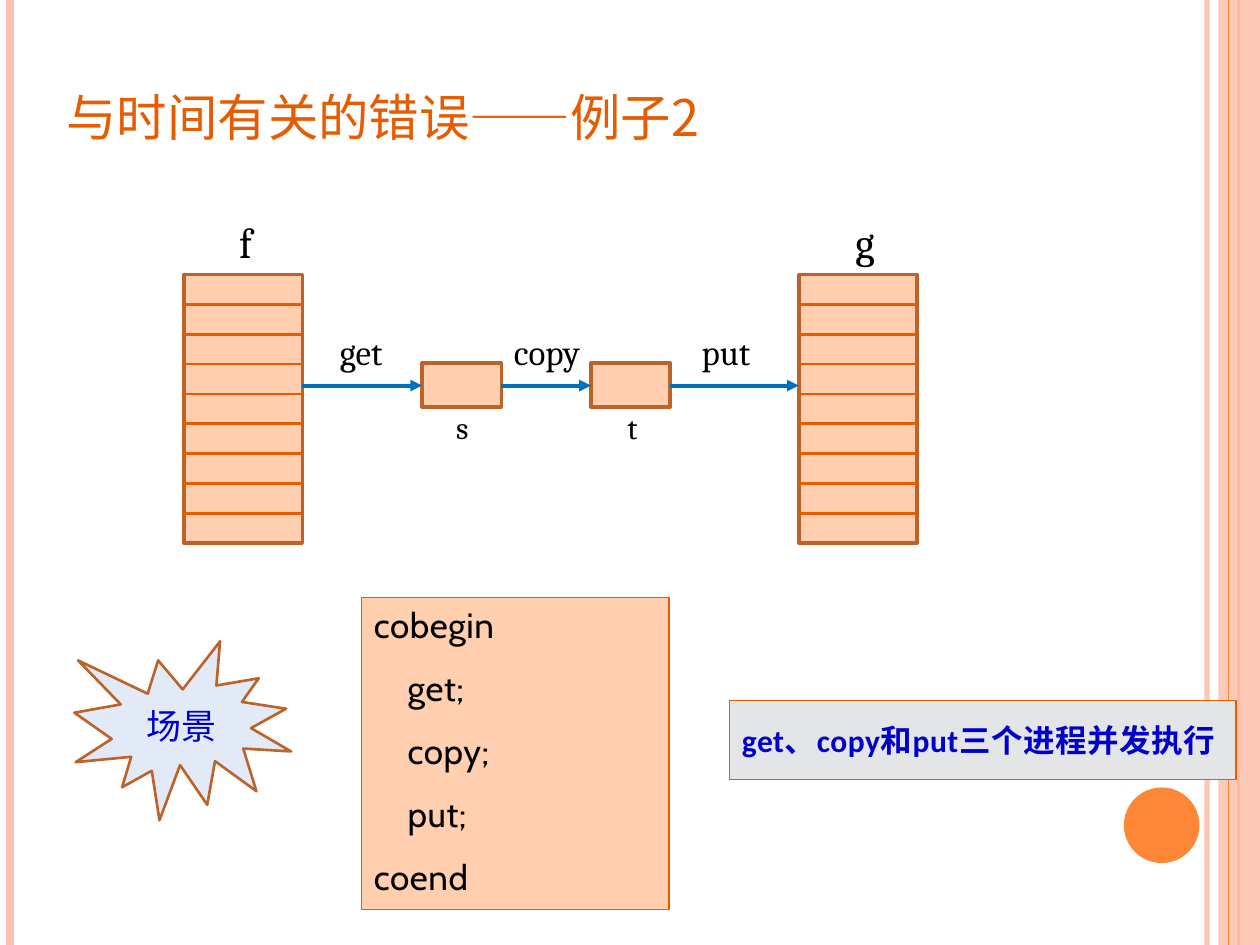
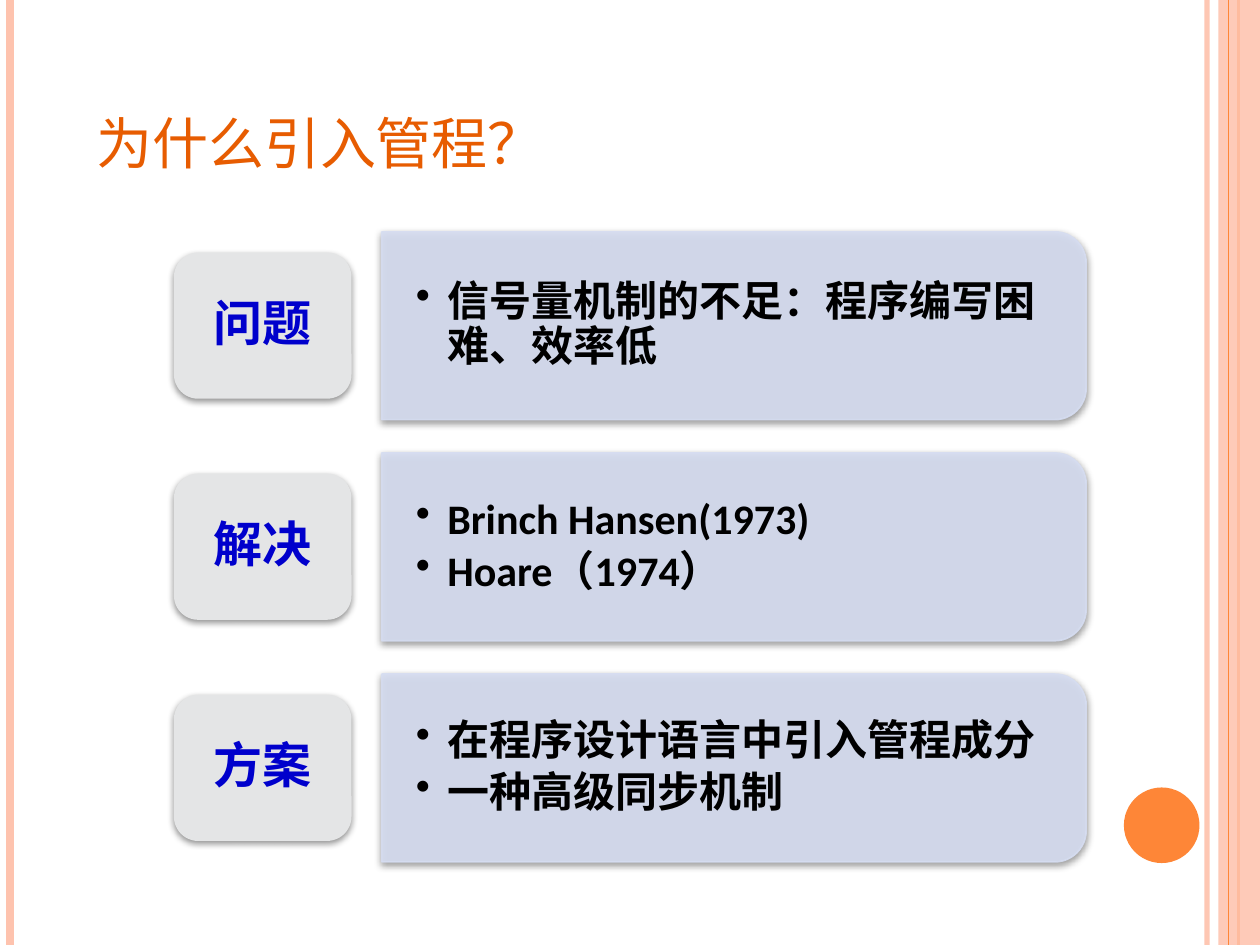
from lxml import etree
from pptx import Presentation
from pptx.dml.color import RGBColor
from pptx.enum.shapes import MSO_CONNECTOR, MSO_SHAPE
from pptx.enum.text import MSO_ANCHOR, PP_ALIGN
from pptx.oxml.ns import qn
from pptx.util import Inches, Pt

LINE = MSO_CONNECTOR.STRAIGHT
RECT, OVAL = MSO_SHAPE.RECTANGLE, MSO_SHAPE.OVAL
ROUNDED, TWO_ROUNDED = MSO_SHAPE.ROUNDED_RECTANGLE, MSO_SHAPE.ROUND_2_SAME_RECTANGLE
BURST = MSO_SHAPE.EXPLOSION1
LEFT, CENTER = PP_ALIGN.LEFT, PP_ALIGN.CENTER
TOP, MIDDLE, BOTTOM = MSO_ANCHOR.TOP, MSO_ANCHOR.MIDDLE, MSO_ANCHOR.BOTTOM

BLACK = RGBColor(0x00, 0x00, 0x00)
ORANGE = RGBColor(0xFE, 0x86, 0x37)
DARK_ORANGE = RGBColor(0xE7, 0x5C, 0x01)
BROWN = RGBColor(0xBC, 0x63, 0x29)
PINK = RGBColor(0xFE, 0xC3, 0xAE)
PEACH = RGBColor(0xFF, 0xCF, 0xAF)
GREY = RGBColor(0xE4, 0xE5, 0xE6)
PALE_BLUE = RGBColor(0xE3, 0xEA, 0xF7)
LAVENDER = RGBColor(0xD6, 0xDD, 0xF1)
ARROW_BLUE = RGBColor(0x00, 0x70, 0xC0)
TEXT_BLUE = RGBColor(0x00, 0x00, 0xCC)

CJK, CODE, SERIF, SANS = "Noto Sans CJK SC", "Cabin", "Cambria", "Calibri"
WIDTH, HEIGHT = Inches(10), Inches(7.5)
COLUMNS, ROWS = 100, 75


def grid(*lengths):
    return [round(n * (HEIGHT / ROWS if i % 2 else WIDTH / COLUMNS))
            for i, n in enumerate(lengths)]


def add_xml(parent, tag, **attributes):
    return etree.SubElement(parent, qn(tag), attributes)


def set_alpha(sp_pr, percent):
    for color in sp_pr.iter(qn("a:srgbClr")):
        add_xml(color, "a:alpha", val=str(percent * 1000))


def set_bullet(p, indent):
    p_pr = p._p.get_or_add_pPr()
    p_pr.set("marL", str(indent))
    p_pr.set("indent", str(-indent))
    add_xml(p_pr, "a:buChar", char="•")


def write(sp, lines, size, font, color=BLACK, bold=False, align=LEFT, anchor=TOP,
          before=0, after=0, leading=None, spacing=0, small_caps=False,
          bullet=None, wrap=True, insets=(1, 0.5)):
    tf = sp.text_frame
    tf.word_wrap = wrap
    tf.vertical_anchor = anchor
    tf.margin_left, tf.margin_top = tf.margin_right, tf.margin_bottom = grid(*insets)
    for i, line in enumerate(lines):
        p = tf.add_paragraph() if i else tf.paragraphs[0]
        p.alignment = align
        if leading:
            p.line_spacing = leading
        if i and before:
            p.space_before = Pt(before)
        if after:
            p.space_after = Pt(after)
        if bullet:
            set_bullet(p, bullet)
        r = p.add_run()
        r.text = line
        r.font.size, r.font.bold, r.font.name = Pt(size), bold, font
        r.font.color.rgb = color
        r_pr = r._r.get_or_add_rPr()
        add_xml(r_pr, "a:ea", typeface=CJK)
        if spacing:
            r_pr.set("spc", str(round(spacing * 100)))
        if small_caps:
            r_pr.set("cap", "small")


def add_text(slide, box, lines, **style):
    sp = slide.shapes.add_textbox(*grid(*box))
    write(sp, lines, **style)


def add_shape(slide, kind, box, fill, line=None, width=1, alpha=None, shadow=False):
    sp = slide.shapes.add_shape(kind, *grid(*box))
    sp.shadow.inherit = False
    sp.fill.solid()
    sp.fill.fore_color.rgb = fill
    if line:
        sp.line.color.rgb = line
        sp.line.width = Pt(width)
    else:
        sp.line.fill.background()
    sp_pr = sp._element.spPr
    if alpha:
        set_alpha(sp_pr, alpha)
    if shadow:
        outer = add_xml(sp_pr.find(qn("a:effectLst")), "a:outerShdw", blurRad=str(Pt(4)),
                        dist=str(Pt(1.6)), dir="5400000", rotWithShape="0")
        add_xml(add_xml(outer, "a:srgbClr", val="000000"), "a:alpha", val="42000")
    return sp


def add_line(slide, ends, color, width, alpha=None, arrow=False):
    line = slide.shapes.add_connector(LINE, *grid(*ends))
    line.line.color.rgb = color
    line.line.width = Pt(width)
    sp_pr = line._element.spPr
    if alpha:
        set_alpha(sp_pr, alpha)
    if arrow:
        add_xml(sp_pr.find(qn("a:ln")), "a:tailEnd", type="triangle")
    add_xml(sp_pr, "a:effectLst")


def add_themed_slide(prs, title, title_box, title_size):
    slide = prs.slides.add_slide(prs.slide_layouts[6])
    for x, color, width, alpha in ((95.8, PINK, 3, 93), (0.8, PINK, 4.5, None),
                                   (98.3, ORANGE, 1.5, None)):
        add_line(slide, (x, 0, x, ROWS), color, width, alpha)
    add_shape(slide, RECT, (96.7, 0, 3.3, ROWS), PINK, alpha=87)
    add_line(slide, (97.5, 0, 97.5, ROWS), ORANGE, 0.75)
    add_shape(slide, OVAL, (89.2, 62.5, 6, 6), ORANGE)
    add_text(slide, title_box, [title], size=title_size, font=CJK, color=DARK_ORANGE,
             anchor=BOTTOM, small_caps=True)
    return slide


def add_record_file(slide, left, top, width, height, records=9):
    add_shape(slide, RECT, (left, top, width, height), PEACH, BROWN, 2)
    for i in range(1, records):
        y = top + i * height / records
        add_line(slide, (left, y, left + width, y), DARK_ORANGE, 1.5)


def add_section(slide, center, label, points, font):
    long, thick = 55.9, 14.9
    panel = add_shape(slide, TWO_ROUNDED,
                      (58.25 - thick / 2, center - long / 2, thick, long),
                      LAVENDER, LAVENDER, 1, alpha=90, shadow=True)
    panel.rotation = 90
    add_text(slide, (30.3, center - 6.7, 55.2, 13.4), points, size=24, font=font,
             bold=True, anchor=MIDDLE, leading=0.9, after=3.6,
             bullet=Inches(0.25), insets=(2.7, 1.4))
    tile = add_shape(slide, ROUNDED, (13.8, center - 5.8, 14.1, 11.6), GREY, shadow=True)
    write(tile, [label], size=28, font=CJK, color=TEXT_BLUE, bold=True,
          align=CENTER, anchor=MIDDLE, leading=0.9)


def build_copy_example(prs):
    slide = add_themed_slide(prs, "与时间有关的错误——例子2", (4.3, 3, 82, 9.3), 36)
    program = add_shape(slide, RECT, (28.7, 47.4, 24.4, 24.8), PEACH, DARK_ORANGE, 0.75)
    write(program, ["cobegin", "    get;", "    copy;", "    put;", "coend"],
          size=20, font=CODE, before=12, spacing=0.3)

    file_width, buffer_width = 9.4, 6.3
    f, s, t, g = 14.6, 33.5, 46.9, 63.4
    for left in (f, g):
        add_record_file(slide, left, 21.8, file_width, 21.3)
    for left in (s, t):
        add_shape(slide, RECT, (left, 28.8, buffer_width, 3.5), PEACH, BROWN, 2)
    for start, end in ((f + file_width, s), (s + buffer_width, t), (t + buffer_width, g)):
        add_line(slide, (start, 30.6, end, 30.6), ARROW_BLUE, 2.25, arrow=True)

    for text, box, size, align in (
            ("get", (26, 25.7, 5.7, 4.4), 20, LEFT),
            ("copy", (39.8, 25.7, 7.4, 4.4), 20, LEFT),
            ("put", (54.7, 25.7, 5.9, 4.4), 20, LEFT),
            ("f", (18, 16.7, 3, 5), 24, LEFT),
            ("g", (66.9, 16.7, 3.7, 5), 24, LEFT),
            ("s", (35.1, 31.9, 3.2, 4), 18, CENTER),
            ("t", (48.8, 31.9, 2.8, 4), 18, CENTER)):
        add_text(slide, box, [text], size=size, font=SERIF, align=align, wrap=False)

    remark = add_shape(slide, RECT, (57.9, 55.6, 40.2, 6.3), GREY, DARK_ORANGE, 0.75)
    write(remark, ["get、copy和put三个进程并发执行"], size=18, font=SANS,
          color=TEXT_BLUE, bold=True, anchor=MIDDLE, spacing=0.3)
    scene = add_shape(slide, BURST, (5.9, 50.9, 17.2, 14.2), PALE_BLUE, BROWN, 1.5)
    write(scene, ["场景"], size=20, font=CJK, color=TEXT_BLUE, align=CENTER, anchor=MIDDLE)


def build_monitor_reasons(prs):
    slide = add_themed_slide(prs, "为什么引入管程？", (6.7, 3, 82, 11.7), 40)
    sections = (
        ("问题", ["信号量机制的不足：程序编写困难、效率低"], CJK),
        ("解决", ["Brinch Hansen(1973)", "Hoare（1974）"], SANS),
        ("方案", ["在程序设计语言中引入管程成分", "一种高级同步机制"], CJK),
    )
    for i, section in enumerate(sections):
        add_section(slide, 25.85 + 17.55 * i, *section)


def main():
    prs = Presentation()
    prs.slide_width, prs.slide_height = WIDTH, HEIGHT
    build_copy_example(prs)
    build_monitor_reasons(prs)
    prs.save("out.pptx")


if __name__ == "__main__":
    main()
